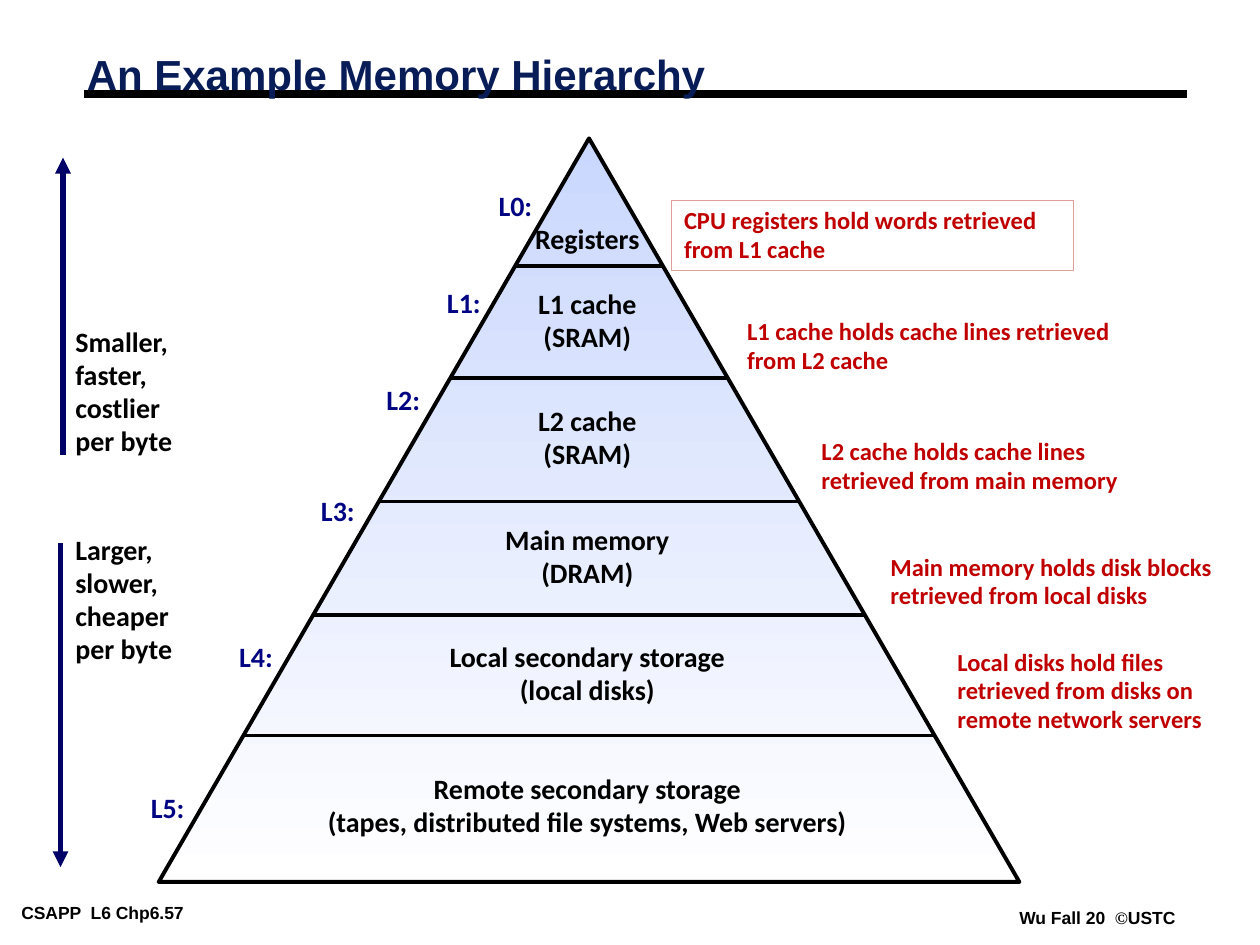
from lxml import etree
from pptx import Presentation
from pptx.dml.color import RGBColor
from pptx.enum.shapes import MSO_CONNECTOR, MSO_SHAPE
from pptx.enum.text import MSO_ANCHOR, MSO_AUTO_SIZE, PP_ALIGN
from pptx.oxml.ns import qn
from pptx.util import Cm, Pt

LEFT, CENTER = PP_ALIGN.LEFT, PP_ALIGN.CENTER
TOP, MIDDLE = MSO_ANCHOR.TOP, MSO_ANCHOR.MIDDLE
GROW = MSO_AUTO_SIZE.SHAPE_TO_FIT_TEXT
STRAIGHT = MSO_CONNECTOR.STRAIGHT
TRIANGLE = MSO_SHAPE.ISOSCELES_TRIANGLE

BLACK, NAVY, ARROW, RED = "000000", "000482", "000066", "C00000"

# Triangle: left, top, width, height
PEAK = (3.2, 2.79, 17.35, 14.99)
MID = 11.84

# Level: label centre and top, top of the name, name lines
LEVELS = [
    (10.39, 3.71, 4.37, ["Registers"]),
    (9.35, 5.66, 5.69, ["L1 cache", "(SRAM)"]),
    (8.13, 7.62, 8.05, ["L2 cache", "(SRAM)"]),
    (6.81, 9.86, 10.44, ["Main memory", "(DRAM)"]),
    (5.16, 12.8, 12.8, ["Local secondary storage", "(local disks)"]),
    (3.38, 15.85, 15.47, ["Remote secondary storage",
                          "(tapes, distributed file systems, Web servers)"]),
]
CUTS = [5.36, 7.62, 10.11, 12.4, 14.83]

# Note: left, top, width, height, text
NOTES = [
    (13.54, 4.04, 8.1, 1.42, "CPU registers hold words retrieved from L1 cache"),
    (14.81, 6.27, 7.87, 1.42, "L1 cache holds cache lines retrieved from L2 cache"),
    (16.31, 8.69, 7.32, 1.42, "L2 cache holds cache lines retrieved from main memory"),
    (17.7, 11.02, 7.62, 1.42, "Main memory holds disk blocks retrieved from local disks"),
    (19.05, 12.93, 5.74, 2.01,
     "Local disks hold files retrieved from disks on remote network servers"),
]

# Trend: top of the text, lines, arrow x, arrow start and end
TRENDS = [
    (6.45, ["Smaller,", "faster,", "costlier", "per byte"], 1.27, 9.17, 3.18),
    (10.64, ["Larger,", "slower,", "cheaper", "per byte"], 1.22, 10.95, 17.48),
]


def color(code):
    return RGBColor.from_string(code)


def put(item, values):
    for key, value in values.items():
        setattr(item, key, value)


class Deck:
    """Holds the text style and the slide being drawn."""

    font = {"name": "Calibri", "size": Pt(16), "bold": True}
    frame = {"vertical_anchor": MIDDLE, "auto_size": GROW, "word_wrap": False}

    def __init__(self, slide):
        self.slide = slide

    def text(self, box, lines, ink=BLACK, align=LEFT, gap=0.98, font=None, frame=None):
        """Each line is a string, or a list of (text, font name) runs."""
        shape = self.slide.shapes.add_textbox(*map(Cm, box))
        body = shape.text_frame
        put(body, {**self.frame, **(frame or {})})
        for i, line in enumerate(lines):
            para = body.add_paragraph() if i else body.paragraphs[0]
            put(para, {"alignment": align, "line_spacing": gap})
            style = {**self.font, **(font or {})}
            runs = [(line, style["name"])] if isinstance(line, str) else line
            for words, face in runs:
                run = para.add_run()
                run.text = words
                put(run.font, {**style, "name": face})
                run.font.color.rgb = color(ink)
        return shape

    def line(self, x1, y1, x2, y2, ink=BLACK, width=2, head=False):
        link = self.slide.shapes.add_connector(STRAIGHT, *map(Cm, (x1, y1, x2, y2)))
        link.line.color.rgb = color(ink)
        link.line.width = Pt(width)
        if head:
            edge = link.line._get_or_add_ln()
            etree.SubElement(edge, qn("a:tailEnd"), type="triangle")
        etree.SubElement(link._element.spPr, qn("a:effectLst"))

    def peak(self, box, tints):
        shape = self.slide.shapes.add_shape(TRIANGLE, *map(Cm, box))
        shape.shadow.inherit = False
        shape.fill.gradient()
        shape.fill.gradient_angle = 270
        for stop, tint in zip(shape.fill.gradient_stops, tints):
            stop.color.rgb = color(tint)
        shape.line.color.rgb = color(BLACK)
        shape.line.width = Pt(2.25)

    def foot(self, box, line):
        pad = {"margin_left": Cm(0.18), "margin_right": Cm(0.18),
               "margin_top": Cm(0.08), "margin_bottom": Cm(0.08)}
        self.text(box, [line], gap=1.0, font={"name": "Arial", "size": Pt(10)},
                  frame={**pad, "vertical_anchor": TOP})


def main():
    show = Presentation()
    put(show, {"slide_width": Cm(25.4), "slide_height": Cm(19.05)})
    deck = Deck(show.slides.add_slide(show.slide_layouts[6]))

    deck.foot((0.25, 18.1, 4.95, 0.56), "CSAPP  L6 Chp6.57")
    deck.foot((20.37, 18.21, 4.4, 0.56),
              [("Wu Fall 20  ", "Arial"), ("©", "Times New Roman"), ("USTC", "Arial")])
    deck.line(1.7, 1.9, 23.92, 1.9, width=4.5)
    deck.text((1.5, 0.99, 24.2, 1.14), ["An Example Memory Hierarchy"], "081D58",
              gap=0.87, font={"name": "Arial", "size": Pt(24)},
              frame={"word_wrap": True})

    deck.peak(PEAK, ("CAD7FE", "FFFFFF"))
    left, top, width, height = PEAK
    tip = left + width / 2
    for y in CUTS:
        half = (y - top) / height * width / 2
        deck.line(tip - half, y, tip + half, y)

    for i, (x, y, row, name) in enumerate(LEVELS):
        deck.text((x - 1, y, 2, 0.91), [f"L{i}:"], NAVY, CENTER)
        tall = 0.91 if len(name) == 1 else 1.57
        deck.text((MID - 5.5, row, 11, tall), name, align=CENTER)

    for i, (*box, note) in enumerate(NOTES):
        shape = deck.text(box, [note], RED, font={"size": Pt(14)},
                          frame={"word_wrap": True})
        if i == 0:
            shape.line.color.rgb = color("DF9F98")
            shape.line.width = Pt(0.75)

    for y, lines, x, start, end in TRENDS:
        deck.text((1.27, y, 2.5, 2.92), lines)
        deck.line(x, start, x, end, ARROW, 3, head=True)

    show.save("out.pptx")


if __name__ == "__main__":
    main()
